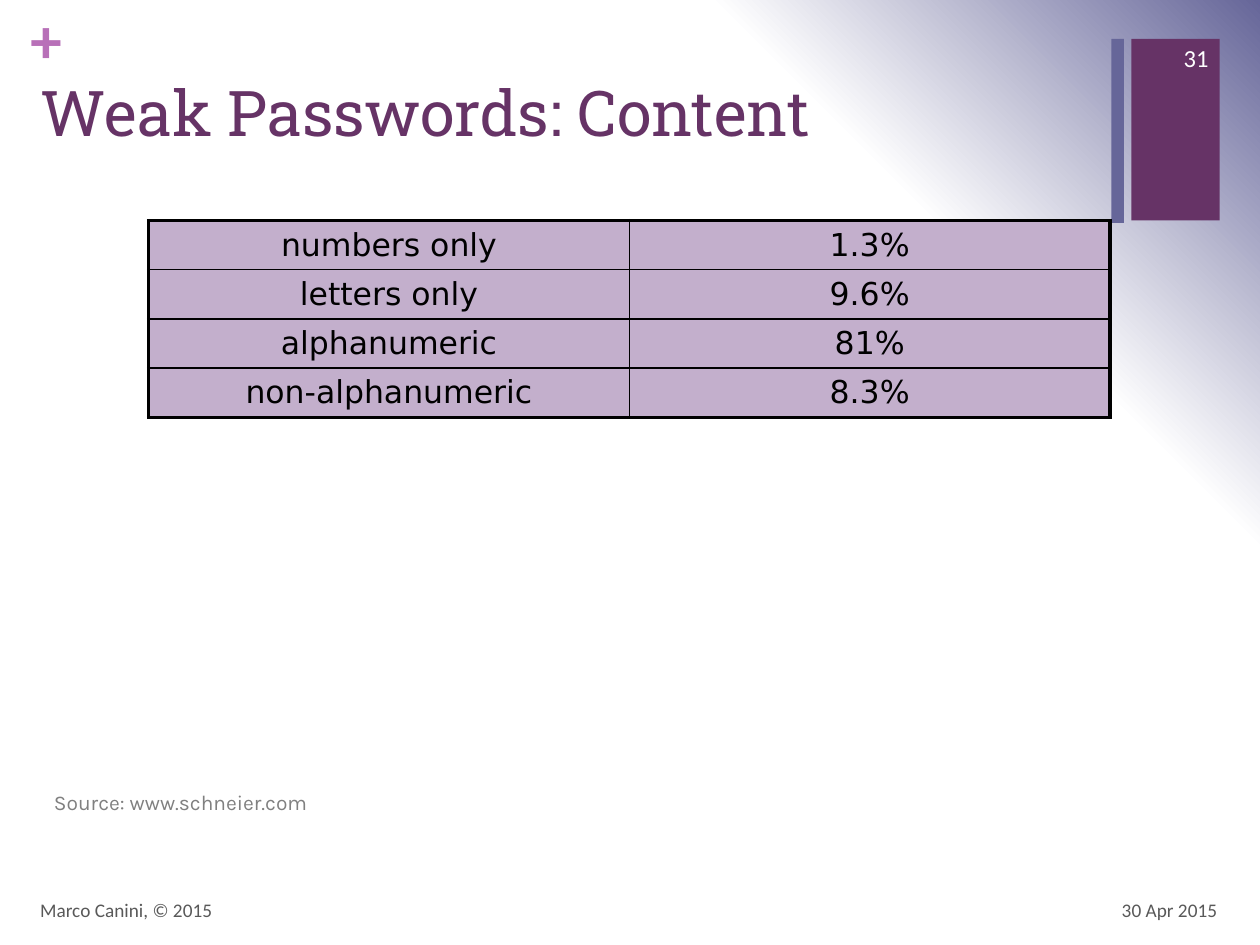
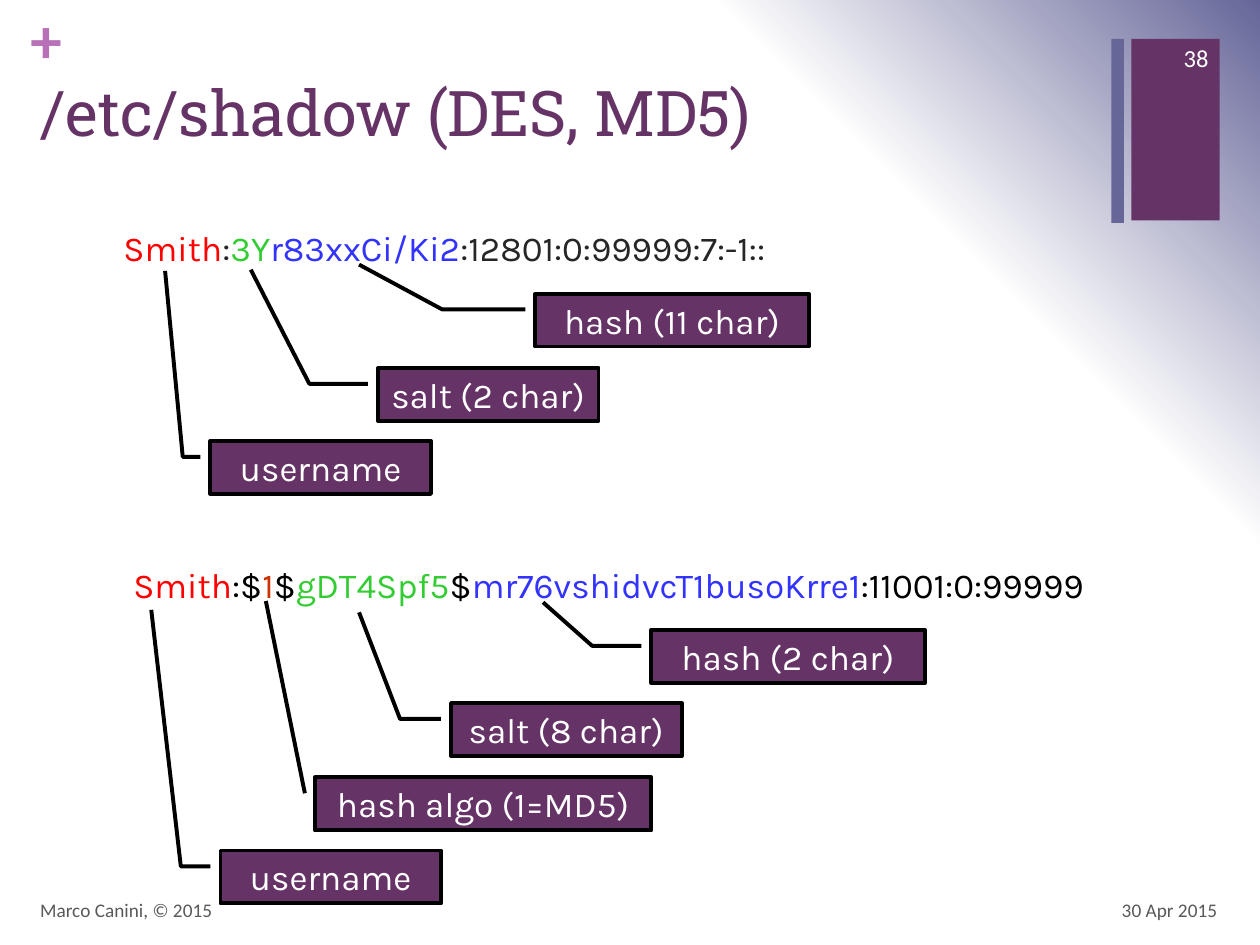
from dataclasses import dataclass

from lxml.etree import SubElement
from pptx import Presentation
from pptx.dml.color import RGBColor as Rgb
from pptx.enum.shapes import MSO_SHAPE as Shape
from pptx.enum.text import MSO_ANCHOR as Anchor, MSO_AUTO_SIZE as Fit, PP_ALIGN as Align
from pptx.oxml import parse_xml
from pptx.oxml.ns import nsdecls, qn
from pptx.util import Inches, Pt


@dataclass(frozen=True)
class Theme:
    plum: str = "663366"
    slate: str = "666699"
    pink: str = "B870B8"
    lilac: str = "C3AFCC"
    white: str = "FFFFFF"
    black: str = "000000"
    dark: str = "262626"
    gray: str = "595959"
    pale: str = "808080"
    red: str = "FF0000"
    rust: str = "CC3300"
    green: str = "33CC33"
    blue: str = "3333FF"
    head: str = "Roboto Slab"
    body: str = "Karla"
    plain: str = "Calibri"
    grid: str = "DejaVu Sans"
    big: float = 36
    code: float = 20
    cell: float = 18
    page: float = 14
    small: float = 12
    foot: float = 11
    thick: float = 2.25
    thin: float = 1


T = Theme()


@dataclass(frozen=True)
class Box:
    x: float
    y: float
    w: float
    h: float

    def place(self) -> tuple:
        return Inches(self.x), Inches(self.y), Inches(self.w), Inches(self.h)


@dataclass(frozen=True)
class Style:
    font: str
    size: float
    color: str
    align: Align = Align.LEFT
    bold: bool = False


@dataclass(frozen=True)
class Label:
    text: str
    box: Box
    style: Style
    anchor: Anchor = Anchor.TOP
    inset: bool = True


@dataclass(frozen=True)
class Note:
    text: str
    x: float
    y: float
    w: float
    tip: tuple[float, float]
    bent: bool = True


HEAD = Style(T.head, T.big, T.plum)
CODE = Style(T.body, T.code, T.dark)
CELL = Style(T.grid, T.cell, T.black, Align.CENTER)
TAG = Style(T.body, T.code, T.white, Align.CENTER)
FOOT = Style(T.plain, T.foot, T.gray)
DATE = Style(T.plain, T.foot, T.gray, Align.RIGHT)
PAGE = Style(T.plain, T.page, T.white, Align.RIGHT)
PLUS = Style(T.plain, T.big, T.pink, bold=True)
CITE = Style(T.body, T.small, T.pale)

BANDS = [(Box(8.98, 0.31, 0.7, 1.44), T.plum), (Box(8.82, 0.31, 0.1, 1.46), T.slate)]
FRAME = [
    Label("+", Box(0.24, 0, 0.29, 0.61), PLUS, inset=False),
    Label("30 Apr 2015", Box(7.43, 7.02, 2.33, 0.4), DATE, Anchor.MIDDLE),
    Label("Marco Canini, © 2015", Box(0.22, 7.02, 6.7, 0.4), FOOT, Anchor.MIDDLE),
]
SOURCE = Label("Source: www.schneier.com", Box(0.33, 6.22, 2.5, 0.3), CITE)

RATES = [
    ("numbers only", "1.3%"),
    ("letters only", "9.6%"),
    ("alphanumeric", "81%"),
    ("non-alphanumeric", "8.3%"),
]
DES = [
    ("Smith", T.red), (":", T.dark), ("3Y", T.green),
    ("r83xxCi/Ki2", T.blue), (":12801:0:99999:7:-1::", T.dark),
]
MD5 = [
    ("Smith", T.red), (":$", T.black), ("1", T.rust), ("$", T.black),
    ("gDT4Spf5", T.green), ("$", T.black),
    ("mr76vshidvcT1busoKrre1", T.blue), (":11001:0:99999", T.black),
]
DES_NOTES = [
    Note("username", 1.67, 3.5, 1.75, (1.31, 2.15)),
    Note("salt (2 char)", 3, 2.92, 1.75, (1.99, 2.14)),
    Note("hash (11 char)", 4.25, 2.33, 2.17, (2.85, 2.1)),
]
MD5_NOTES = [
    Note("username", 1.75, 6.75, 1.75, (1.2, 4.84)),
    Note("salt (8 char)", 3.58, 5.58, 1.83, (2.85, 4.86)),
    Note("hash (2 char)", 5.17, 5, 2.17, (4.31, 4.78)),
    Note("hash algo (1=MD5)", 2.5, 6.17, 2.67, (2.11, 4.77), bent=False),
]


def dress(para, style: Style) -> None:
    para.alignment = style.align
    para.space_before = Pt(0)
    font = para.font
    font.name, font.size, font.bold = style.font, Pt(style.size), style.bold
    font.color.rgb = Rgb.from_string(style.color)


def write(frame, text: str, style: Style, anchor: Anchor) -> None:
    frame.word_wrap = True
    frame.auto_size = Fit.NONE
    frame.vertical_anchor = anchor
    frame.text = text
    dress(frame.paragraphs[0], style)


def add_label(shapes, label: Label) -> None:
    frame = shapes.add_textbox(*label.box.place()).text_frame
    write(frame, label.text, label.style, label.anchor)
    if not label.inset:
        frame.margin_left = frame.margin_top = frame.margin_right = frame.margin_bottom = 0


def add_band(shapes, box: Box, color: str) -> None:
    band = shapes.add_shape(Shape.RECTANGLE, *box.place())
    band.shadow.inherit = False
    band.fill.solid()
    band.fill.fore_color.rgb = Rgb.from_string(color)
    band.line.fill.background()


def write_code(shape, parts: list[tuple[str, str]]) -> None:
    write(shape.text_frame, "", CODE, Anchor.TOP)
    para = shape.text_frame.paragraphs[0]
    props = para._p.get_or_add_pPr()
    props.set("marL", str(Inches(0.38)))
    props.set("indent", "0")
    props.insert_element_before(parse_xml(f"<a:buNone {nsdecls('a')}/>"), "a:tabLst", "a:defRPr", "a:extLst")
    for text, color in parts:
        run = para.add_run()
        run.text = text
        run.font.color.rgb = Rgb.from_string(color)


def add_note(shapes, note: Note, high: float = 0.42, gap: float = 0.08, drop: float = 0.3) -> None:
    box = shapes.add_shape(Shape.LINE_CALLOUT_2, *Box(note.x, note.y, note.w, high).place())
    start = -gap / note.w
    end = (note.tip[0] - note.x) / note.w
    bend = (start + end) / 2 if note.bent else start
    points = drop, start, drop, bend, (note.tip[1] - note.y) / high, end
    for i, value in enumerate(points):
        box.adjustments[i] = value
    box.shadow.inherit = False
    box.fill.solid()
    box.fill.fore_color.rgb = Rgb.from_string(T.plum)
    box.line.color.rgb = Rgb.from_string(T.black)
    box.line.width = Pt(T.thick)
    write(box.text_frame, note.text, TAG, Anchor.MIDDLE)


def add_edge(cell, side: str, width: float) -> None:
    line = SubElement(cell._tc.get_or_add_tcPr(), qn(f"a:ln{side}"), w=str(Pt(width)))
    SubElement(SubElement(line, qn("a:solidFill")), qn("a:srgbClr"), val=T.black)


def add_grid(shapes, rows: list[tuple[str, str]], box: Box) -> None:
    count, wide = len(rows), len(rows[0])
    table = shapes.add_table(count, wide, *box.place()).table
    table.first_row = table.horz_banding = False
    for r, row in enumerate(rows):
        for c, text in enumerate(row):
            cell = table.cell(r, c)
            outer = {"L": c == 0, "R": c == wide - 1, "T": r == 0, "B": r == count - 1}
            for side, edge in outer.items():
                add_edge(cell, side, T.thick if edge else T.thin)
            cell.fill.solid()
            cell.fill.fore_color.rgb = Rgb.from_string(T.lilac)
            cell.margin_left = cell.margin_right = Inches(0.15)
            cell.vertical_anchor = Anchor.MIDDLE
            cell.text = text
            dress(cell.text_frame.paragraphs[0], CELL)


def move(shape, box: Box) -> None:
    shape.left, shape.top, shape.width, shape.height = box.place()


def set_back(master) -> None:
    stops = [(0, T.white), (75, T.white), (100, T.slate)]
    marks = "".join(f'<a:gs pos="{at * 1000}"><a:srgbClr val="{color}"/></a:gs>' for at, color in stops)
    back = parse_xml(
        f'<p:bg {nsdecls("p", "a")}><p:bgPr><a:gradFill rotWithShape="1"><a:gsLst>{marks}</a:gsLst>'
        '<a:path path="circle"><a:fillToRect t="100000" r="100000"/></a:path>'
        "</a:gradFill><a:effectLst/></p:bgPr></p:bg>"
    )
    base = master.element.find(qn("p:cSld"))
    old = base.find(qn("p:bg"))
    if old is not None:
        base.remove(old)
    base.insert(0, back)


def add_slide(deck, layout: int, title: str, page: int):
    slide = deck.slides.add_slide(deck.slide_layouts[layout])
    for box, color in BANDS:
        add_band(slide.shapes, box, color)
    number = Label(str(page), Box(9.08, 0.26, 0.61, 0.4), PAGE, Anchor.MIDDLE)
    for label in [*FRAME, number]:
        add_label(slide.shapes, label)
    head = slide.shapes.title
    move(head, Box(0.22, 0.53, 8.59, 1.22))
    write(head.text_frame, title, HEAD, Anchor.TOP)
    return slide


def main() -> None:
    deck = Presentation()
    deck.slide_width, deck.slide_height = Inches(10), Inches(7.5)
    set_back(deck.slide_master)

    weak = add_slide(deck, 5, "Weak Passwords: Content", 31)
    add_grid(weak.shapes, RATES, Box(1.18, 1.75, 7.63, 1.56))
    add_label(weak.shapes, SOURCE)

    shadow = add_slide(deck, 1, "/etc/shadow (DES, MD5)", 38)
    body = shadow.placeholders[1]
    move(body, Box(0.5, 1.75, 9, 2.5))
    write_code(body, DES)
    for note in DES_NOTES:
        add_note(shadow.shapes, note)
    group = shadow.shapes.add_group_shape().shapes
    write_code(group.add_textbox(*Box(0.58, 4.42, 9, 2.5).place()), MD5)
    for note in MD5_NOTES:
        add_note(group, note)

    deck.save("out.pptx")


if __name__ == "__main__":
    main()
